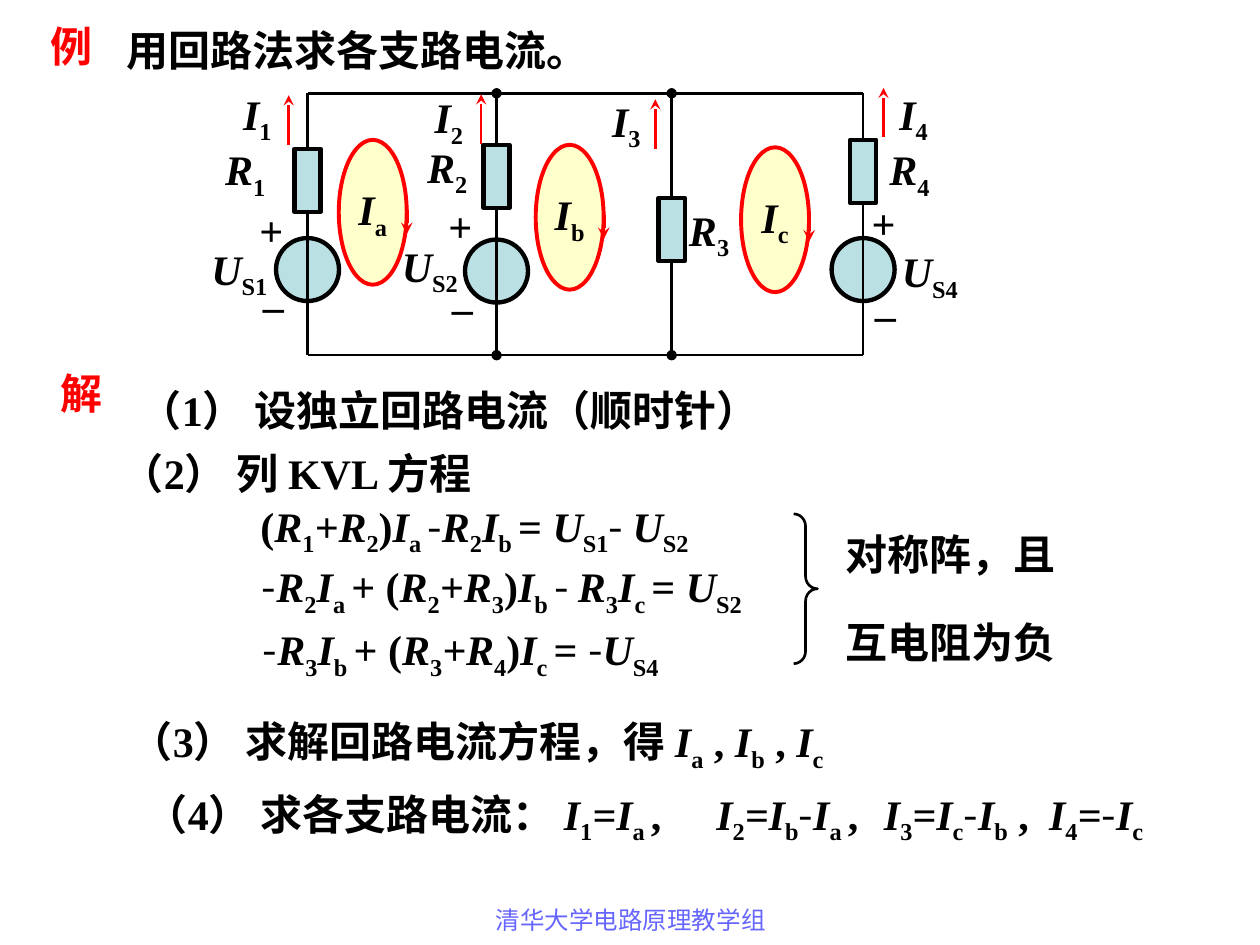
from lxml.etree import SubElement
from pptx import Presentation
from pptx.dml.color import RGBColor
from pptx.enum.shapes import MSO_CONNECTOR as Connector, MSO_SHAPE as Shape
from pptx.enum.text import MSO_ANCHOR as Anchor, MSO_AUTO_SIZE as AutoSize, PP_ALIGN as Align
from pptx.oxml.ns import qn
from pptx.util import Cm, Pt

BLACK, RED, BLUE = "000000", "FF0000", "6666FF"
PART_FILL, LOOP_FILL = "BBE0E3", "FFFFCC"


def color(value):
    return RGBColor.from_string(value)


class CircuitSlide:
    font, wide_font, size = "Times New Roman", "Noto Sans CJK SC", 24

    def __init__(self, presentation):
        self.slide = presentation.slides.add_slide(presentation.slide_layouts[6])

    def add_runs(self, paragraph, markup, ink=BLACK, size=None, bold=True):
        """Split markup at |; a piece starts with * if italic, ~ if subscript, - if a thin minus."""
        for piece in markup.split("|"):
            mark = piece[0]
            run = paragraph.add_run()
            run.text = piece[1:] if mark in "*~" else piece
            font = run.font
            font.size = Pt(size or self.size)
            font.bold = bold and mark != "-"
            font.italic = mark == "*"
            font.color.rgb = color(ink)
            font.name = self.wide_font if mark == "-" else self.font
            properties = run._r.get_or_add_rPr()
            SubElement(properties, qn("a:ea")).set("typeface", self.wide_font)
            if mark == "~":
                properties.set("baseline", "-25000")

    def text(self, left, top, width, *lines, height=1.27, centered=False, wrap=True,
             gap=0, tabs=(), **style):
        box = self.slide.shapes.add_textbox(Cm(left), Cm(top), Cm(width), Cm(height))
        frame = box.text_frame
        frame.word_wrap = wrap
        frame.auto_size = AutoSize.SHAPE_TO_FIT_TEXT
        for index, line in enumerate(lines):
            paragraph = frame.add_paragraph() if index else frame.paragraphs[0]
            if index:
                paragraph.space_before = Pt(gap)
            if centered:
                paragraph.alignment = Align.CENTER
            if tabs:
                stops = SubElement(paragraph._p.get_or_add_pPr(), qn("a:tabLst"))
                for position in tabs:
                    SubElement(stops, qn("a:tab"), pos=str(Cm(position)), algn="l")
            self.add_runs(paragraph, line, **style)
        return frame

    def sign(self, left, top, symbol):
        frame = self.text(left, top, 0.96, symbol, centered=True, wrap=False)
        frame.vertical_anchor = Anchor.MIDDLE

    def shape(self, kind, left, top, width, height, fill=PART_FILL, ink=BLACK, weight=2.5):
        shape = self.slide.shapes.add_shape(kind, Cm(left), Cm(top), Cm(width), Cm(height))
        shape.shadow.inherit = False
        if fill:
            shape.fill.solid()
            shape.fill.fore_color.rgb = color(fill)
        else:
            shape.fill.background()
        shape.line.color.rgb = color(ink)
        shape.line.width = Pt(weight)
        return shape

    def line(self, x1, y1, x2, y2, ink=BLACK, weight=1.5, head=None, tail=None):
        connector = self.slide.shapes.add_connector(
            Connector.STRAIGHT, Cm(x1), Cm(y1), Cm(x2), Cm(y2))
        connector.line.color.rgb = color(ink)
        connector.line.width = Pt(weight)
        properties = connector._element.spPr
        for tag, end in (("a:headEnd", head), ("a:tailEnd", tail)):
            if end:
                SubElement(properties.get_or_add_ln(), qn(tag), type=end)
        SubElement(properties, qn("a:effectLst"))

    def loop(self, left, top, name):
        width, height = 1.37, 2.92
        ellipse = self.shape(Shape.OVAL, left, top, width, height, LOOP_FILL, RED, 2.25)
        frame = ellipse.text_frame
        frame.word_wrap = False
        frame.vertical_anchor = Anchor.MIDDLE
        frame.paragraphs[0].alignment = Align.CENTER
        self.add_runs(frame.paragraphs[0], f"*I|~{name}")
        right = left + width
        self.line(right, top + 1.42, right, top + 1.9, RED, 2.25, tail="stealth")

    def source(self, x, top, label, plus, minus, name):
        diameter = 1.27
        self.shape(Shape.OVAL, x - diameter / 2, top, diameter, diameter)
        self.sign(*plus, "+")
        self.sign(*minus, "_")
        self.text(*label, 2.1, f"*U|~{name}", height=1.42)

    def branch(self, number, x, resistor_top, resistor_label, arrow, current_label, end=None):
        self.line(x, TOP, x, BOTTOM, head=end, tail=end)
        width = 0.53
        self.shape(Shape.RECTANGLE, x - width / 2, resistor_top, width, 1.27)
        self.text(*resistor_label, 1.7, f"*R|~{number}", height=1.42)
        arrow_x, arrow_bottom = arrow
        self.line(arrow_x, arrow_bottom, arrow_x, arrow_bottom - 1, RED, tail="stealth")
        self.text(*current_label, 1.47, f"*I|~{number}", height=1.42)


TOP, BOTTOM = 1.88, 7.16
BRANCH_X = (6.2, 10.01, 13.54, 17.4)

LOOPS = ((6.83, 2.82, "a"), (10.8, 2.92, "b"), (14.94, 2.97, "c"))

# x, top, label position, plus position, minus position, name
SOURCES = (
    (BRANCH_X[0], 4.8, (4.01, 4.78), (4.98, 3.99), (5.03, 5.23), "S1"),
    (BRANCH_X[1], 4.83, (7.85, 4.72), (8.79, 3.91), (8.84, 5.26), "S2"),
    (BRANCH_X[3], 4.8, (17.93, 4.83), (17.32, 3.86), (17.37, 5.41), "S4"),
)

# resistor top, resistor label, arrow start, current label, node marker
BRANCHES = (
    (3.0, (4.29, 2.77), (5.82, 2.92), (4.65, 1.65), None),
    (2.92, (8.36, 2.72), (9.7, 2.9), (8.51, 1.73), "oval"),
    (3.99, (13.64, 3.99), (13.21, 3.0), (12.09, 1.8), "oval"),
    (2.82, (17.68, 2.77), (17.81, 2.77), (17.88, 1.65), None),
)

EQUATIONS = (
    (5.0, 9.96, "(|*R|~1|*+R|~2|)|*I|~a |-|*R|~2|*I|~b |= |*U|~S1|- |*U|~S2"),
    (5.03, 11.18, "-|*R|~2|*I|~a |+ (|*R|~2|*+R|~3|)|*I|~b |- |*R|~3|*I|~c |= |*U|~S2"),
    (5.05, 12.45, "-|*R|~3|*I|~b |+ (|*R|~3|*+R|~4|)|*I|~c |= |-|*U|~S4"),
)


def main():
    presentation = Presentation()
    presentation.slide_width, presentation.slide_height = Cm(25.4), Cm(19.05)
    slide = CircuitSlide(presentation)

    slide.text(0.76, 0.28, 2.54, "例", ink=RED)
    slide.text(2.31, 0.36, 11, "用回路法求各支路电流。")
    slide.text(0.97, 7.29, 2.29, "解", ink=RED)
    slide.text(2.57, 7.62, 14.45, "（1） 设独立回路电流（顺时针）")
    slide.text(2.21, 8.89, 10, "（2） 列 KVL 方程")
    for left, top, equation in EQUATIONS:
        slide.text(left, top, 11.5, equation, height=1.42)
    brace = slide.shape(Shape.RIGHT_BRACE, 16, 10.36, 0.48, 3.02, fill=None, weight=1.5)
    brace.adjustments[0] = 0.52
    slide.text(16.79, 10.52, 4.9, "对称阵，且", "互电阻为负", height=4.32, gap=22)
    slide.text(2.39, 14.3, 16, "（3） 求解回路电流方程，得 |*I|~a| ,|* I|~b| , |*I|~c", height=1.42)
    slide.text(2.69, 15.77, 22,
               "（4） 求各支路电流： |*I|~1|*=I|~a |,\t|*I|~2|*=I|~b|-|*I|~a |,\t"
               "|*I|~3|*=I|~c|-|*I|~b| ,\t|*I|~4|*=|-|*I|~c",
               height=1.42, tabs=(11.5, 14.88, 18.21))

    for loop in LOOPS:
        slide.loop(*loop)
    for source in SOURCES:
        slide.source(*source)
    for y in (TOP, BOTTOM):
        slide.line(BRANCH_X[0], y, BRANCH_X[-1], y)
    for number, (x, branch) in enumerate(zip(BRANCH_X, BRANCHES), 1):
        slide.branch(number, x, *branch)

    slide.text(8.69, 18.11, 8.05, "清华大学电路原理教学组", height=1.32,
               centered=True, ink=BLUE, size=14, bold=False)
    presentation.save("out.pptx")


if __name__ == "__main__":
    main()
